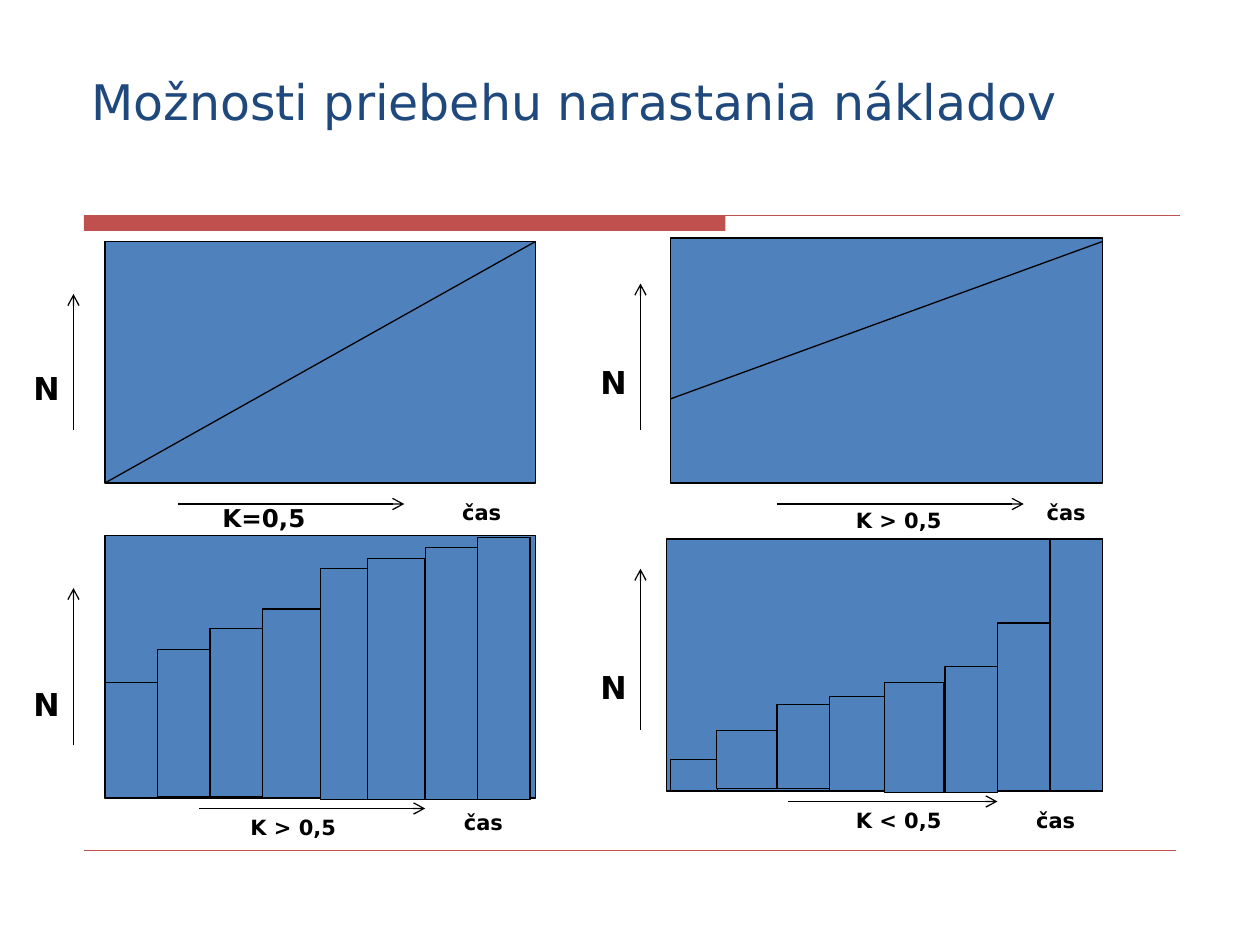
from lxml import etree
from pptx import Presentation
from pptx.dml.color import RGBColor
from pptx.enum import shapes, text
from pptx.oxml.ns import qn
from pptx.util import Pt

COLORS = {"title": "1F497D", "accent": "C0504D", "fill": "4F81BD", "ink": "000000"}
FONT = "DejaVu Sans"

prs = Presentation()
prs.slide_width, prs.slide_height = Pt(720), Pt(540)
s = prs.slides.add_slide(prs.slide_layouts[5])


def add_rect(box, fill="fill", line="ink"):
    sp = s.shapes.add_shape(shapes.MSO_SHAPE.RECTANGLE, *map(Pt, box))
    sp.shadow.inherit = False
    sp.fill.solid()
    sp.fill.fore_color.rgb = RGBColor.from_string(COLORS[fill])
    if line:
        sp.line.color.rgb = RGBColor.from_string(COLORS[line])
        sp.line.width = Pt(0.75)
    else:
        sp.line.fill.background()


def add_line(ends, color="ink", width=0.75, arrow=False):
    c = s.shapes.add_connector(shapes.MSO_CONNECTOR.STRAIGHT, *map(Pt, ends))
    c.line.color.rgb = RGBColor.from_string(COLORS[color])
    c.line.width = Pt(width)
    if arrow:
        etree.SubElement(c.line._get_or_add_ln(), qn("a:tailEnd"), type="arrow")
    etree.SubElement(c._element.spPr, qn("a:effectLst"))


# Header and footer rules
add_rect((48, 123, 366.5, 9), fill="accent", line=None)
add_line((48, 123, 674.5, 123), "accent")
add_line((48, 486, 672, 486), "accent", 0.25)

# Title
sp = s.shapes.title
sp.left, sp.top, sp.width, sp.height = Pt(45), Pt(24), Pt(630), Pt(54)
tf = sp.text_frame
tf.auto_size = text.MSO_AUTO_SIZE.NONE
tf.vertical_anchor = text.MSO_ANCHOR.BOTTOM
p = tf.paragraphs[0]
p.alignment = text.PP_ALIGN.LEFT
r = p.add_run()
r.text = "Možnosti priebehu narastania nákladov"
r.font.name, r.font.size = FONT, Pt(28)
r.font.color.rgb = RGBColor.from_string(COLORS["title"])

# Chart panels
for panel in [(60, 306, 246, 150), (60, 138, 246, 138),
              (383, 136, 247, 140), (381, 308, 249, 144)]:
    add_rect(panel)

# Linear growth
add_line((60, 276, 306, 138))
add_line((383, 228, 630, 138))

# Stepwise growth: left, top, width, height of each bar
slowing_bars = [
    (60, 390, 30, 66), (90, 371, 30, 84), (120, 359, 30, 96), (150, 348, 33, 108),
    (183, 325, 36, 132), (210, 319, 33, 138), (243, 313, 30, 144), (273, 307, 30, 150),
]
speeding_bars = [
    (383, 434, 27, 18), (409.5, 417.5, 34.5, 33), (444, 402.5, 30, 48), (474, 398, 32, 54),
    (505.5, 390, 34, 63), (540, 381, 30, 72), (570, 356, 30, 96), (600, 308, 30, 144),
]
for bar in slowing_bars + speeding_bars:
    add_rect(bar)

# Axis arrows: cost upwards, time to the right
for x, start, end in [(42, 246, 168), (366, 246, 162), (42, 426, 336), (366, 417, 325)]:
    add_line((x, start, x, end), arrow=True)
for y, start, end in [(288, 102, 231), (288, 444, 585), (458, 450, 570), (462, 114, 243)]:
    add_line((start, y, end, y), arrow=True)

# Labels: wording, size, box size, positions
labels = [
    ("N", 18, (24, 29), [(12, 207.5), (12, 388), (336, 204), (336, 378)]),
    ("čas", 12, (49, 22), [(257, 282), (591, 282), (258, 459), (585, 458)]),
    ("K=0,5", 14, (72, 24), [(120, 284)]),
    ("K > 0,5", 12, (64, 22), [(482, 286.5), (136, 462)]),
    ("K < 0,5", 12, (64, 22), [(482, 458)]),
]
for wording, size, box, positions in labels:
    for position in positions:
        tf = s.shapes.add_textbox(*map(Pt, position + box)).text_frame
        tf.word_wrap = True
        tf.auto_size = text.MSO_AUTO_SIZE.SHAPE_TO_FIT_TEXT
        r = tf.paragraphs[0].add_run()
        r.text = wording
        r.font.name, r.font.size, r.font.bold = FONT, Pt(size), True
        r.font.color.rgb = RGBColor.from_string(COLORS["ink"])

prs.save("out.pptx")
